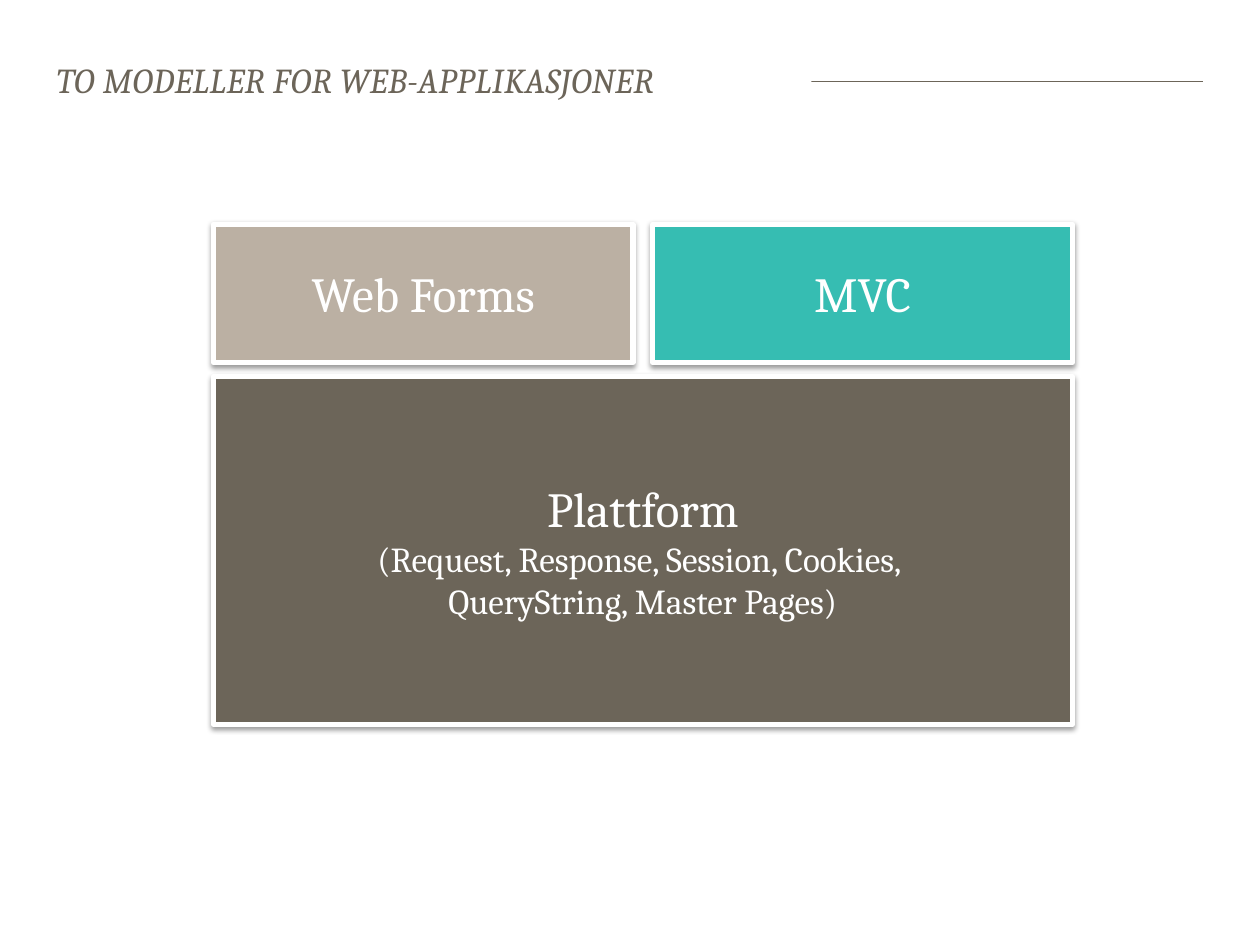
from lxml.etree import SubElement
from pptx import Presentation
from pptx.dml.color import RGBColor
from pptx.enum.shapes import MSO_CONNECTOR, MSO_SHAPE
from pptx.enum.text import MSO_ANCHOR, PP_ALIGN
from pptx.oxml.ns import qn
from pptx.util import Cm, Pt

WHITE = RGBColor(0xFF, 0xFF, 0xFF)
BROWN = RGBColor(0x6C, 0x65, 0x59)
SAND = RGBColor(0xBB, 0xB0, 0xA3)
TEAL = RGBColor(0x36, 0xBD, 0xB2)
FONT = "Cambria"

# Grid of the diagram, in centimetres
LEFT, TOP = 4.3, 4.52
TOTAL_WIDTH, COLUMN_GAP, ROW_GAP = 17.32, 0.4, 0.28
MODEL_WIDTH = (TOTAL_WIDTH - COLUMN_GAP) / 2
MODEL_HEIGHT, BASE_HEIGHT = 2.79, 7.01


def set_values(target, values):
    for name, value in values.items():
        setattr(target, name, value)


def add_run(paragraph, text, size, color, italic=False):
    run = paragraph.add_run()
    run.text = text
    set_values(run.font, {"name": FONT, "size": Pt(size), "italic": italic})
    run.font.color.rgb = color
    return run


def add_shadow(shape):
    effects = shape._element.spPr.find(qn("a:effectLst"))
    shadow = SubElement(effects, qn("a:outerShdw"), blurRad=str(Pt(3.1)),
                        dist=str(Pt(1.6)), dir="5400000", rotWithShape="0")
    color = SubElement(shadow, qn("a:srgbClr"), val="000000")
    SubElement(color, qn("a:alpha"), val="38000")


def add_rectangle(slide, left, top, width, height, fill):
    shape = slide.shapes.add_shape(
        MSO_SHAPE.RECTANGLE, Cm(left), Cm(top), Cm(width), Cm(height))
    shape.shadow.inherit = False
    shape.fill.solid()
    shape.fill.fore_color.rgb = fill
    shape.text_frame.word_wrap = True
    return shape


def add_rule(slide, left, right, top):
    rule = slide.shapes.add_connector(
        MSO_CONNECTOR.STRAIGHT, Cm(left), Cm(top), Cm(right), Cm(top))
    rule.line.color.rgb = BROWN
    rule.line.width = Pt(0.5)
    SubElement(rule._element.spPr, qn("a:effectLst"))


def add_title(slide, text):
    # The white fill hides the rule behind the title
    shape = add_rectangle(slide, 0.89, 1.17, 15.47, 0.86, WHITE)
    shape.line.fill.background()
    set_values(shape.text_frame, {
        "margin_top": 0, "margin_bottom": 0,
        "vertical_anchor": MSO_ANCHOR.TOP})
    paragraph = shape.text_frame.paragraphs[0]
    paragraph.alignment = PP_ALIGN.LEFT
    run = add_run(paragraph, text, 20, BROWN, italic=True)
    run._r.get_or_add_rPr().set("spc", "20")


def add_block(slide, left, top, width, height, fill, heading, details=()):
    shape = add_rectangle(slide, left, top, width, height, fill)
    shape.line.color.rgb = WHITE
    shape.line.width = Pt(3)
    add_shadow(shape)
    shape.text_frame.vertical_anchor = MSO_ANCHOR.MIDDLE
    paragraph = shape.text_frame.paragraphs[0]
    paragraph.alignment = PP_ALIGN.CENTER
    add_run(paragraph, heading, 28, WHITE)
    for detail in details:
        paragraph.add_line_break()
        add_run(paragraph, detail, 20, WHITE)


def main():
    presentation = Presentation()
    presentation.slide_width, presentation.slide_height = Cm(25.4), Cm(19.05)
    slide = presentation.slides.add_slide(presentation.slide_layouts[6])

    # Heading
    add_rule(slide, 1.17, 24.26, 1.64)
    add_title(slide, "TO MODELLER FOR WEB-APPLIKASJONER")

    # The two models, side by side
    for column, (name, fill) in enumerate([("Web Forms", SAND), ("MVC", TEAL)]):
        left = LEFT + column * (MODEL_WIDTH + COLUMN_GAP)
        add_block(slide, left, TOP, MODEL_WIDTH, MODEL_HEIGHT, fill, name)

    # Their common base
    add_block(slide, LEFT, TOP + MODEL_HEIGHT + ROW_GAP, TOTAL_WIDTH,
              BASE_HEIGHT, BROWN, "Plattform",
              ["(Request, Response, Session, Cookies, ",
               "QueryString, Master Pages)"])

    presentation.save("out.pptx")


if __name__ == "__main__":
    main()
